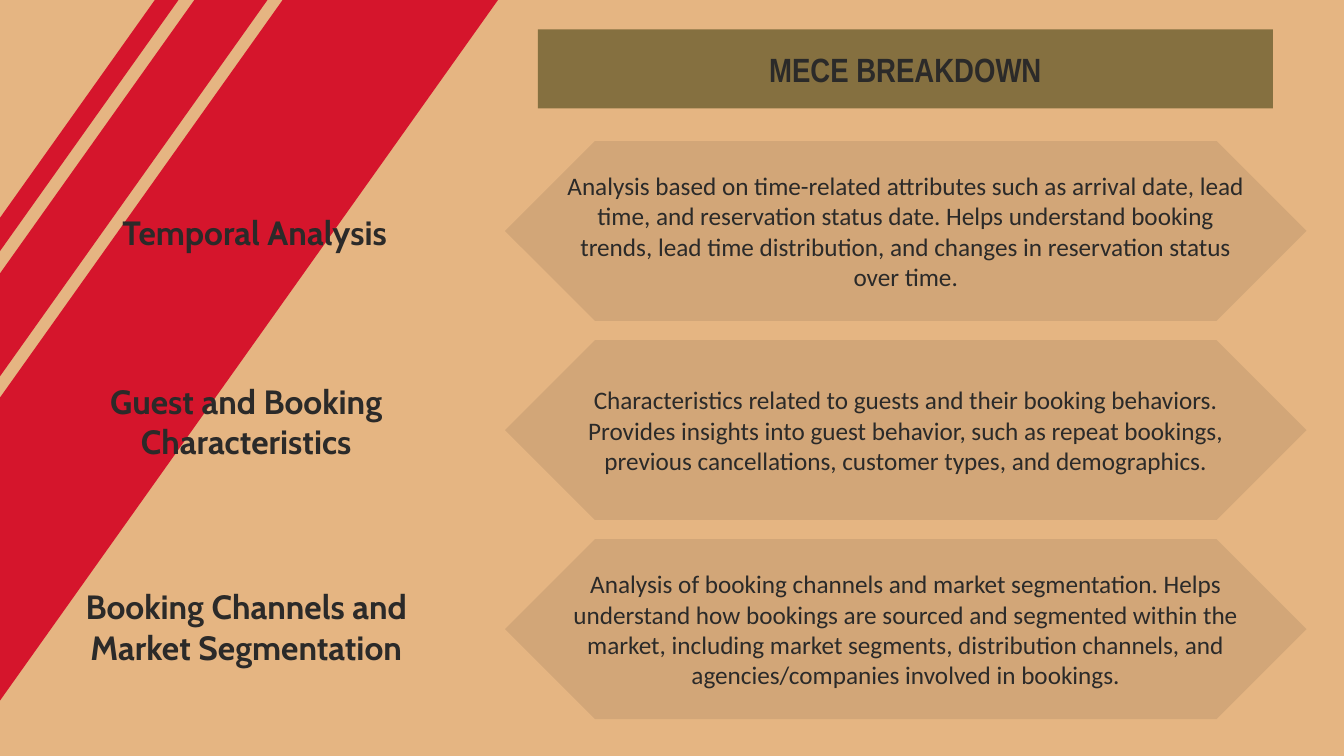
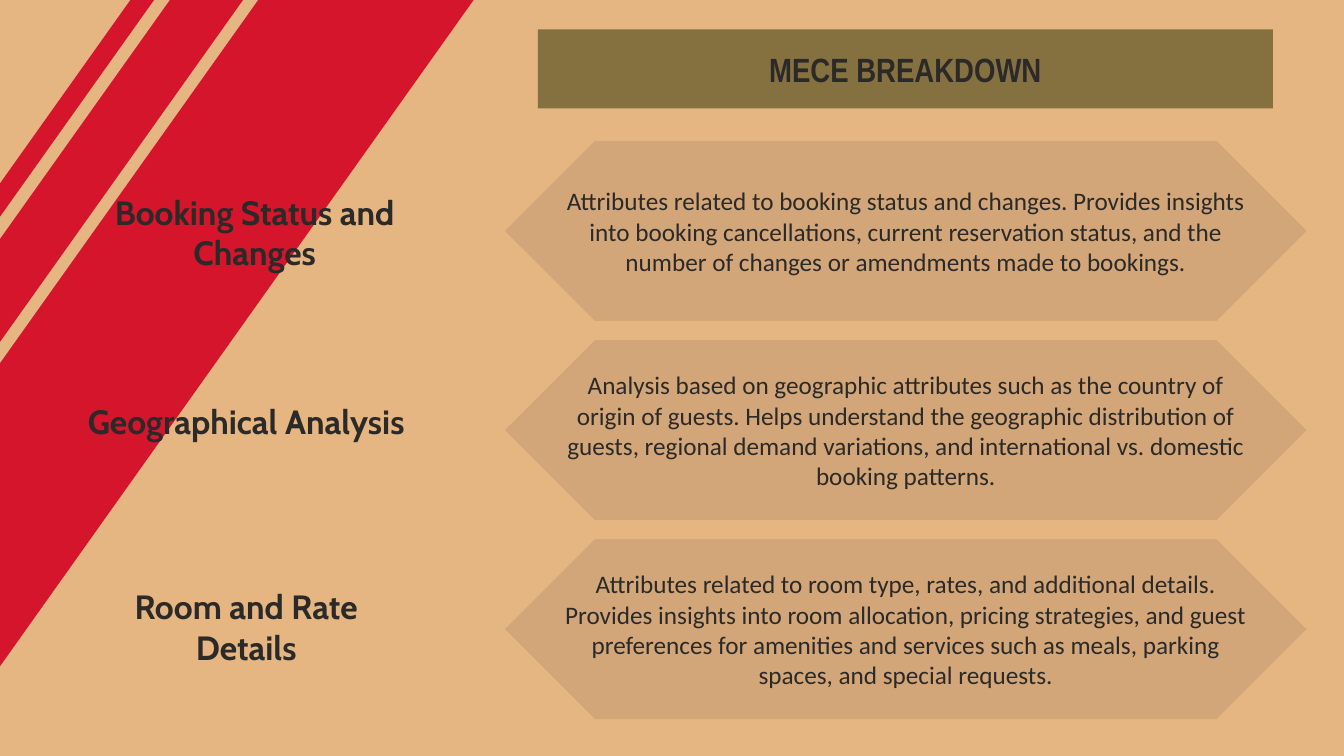
from dataclasses import dataclass

from lxml import etree
from pptx import Presentation
from pptx import util as u
from pptx.dml import color
from pptx.enum import shapes, text as t
from pptx.oxml import ns


@dataclass(frozen=True)
class Theme:
    background: str = "E5B582"
    stripe: str = "D5152C"
    title_band: str = "857040"
    ink: str = "2B2A29"
    heading_size: int = 24
    body_size: int = 18
    title_font: str = "Arial Narrow"
    label_font: str = "Cabin"
    body_font: str = "Calibri"
    arrow_opacity: int = 10  # per cent


@dataclass(frozen=True)
class Box:
    """A box on a grid of 160 columns by 90 rows."""
    left: float
    top: float
    width: float
    height: float

    def inner(self, left, top, width, height):
        return Box(self.left + left, self.top + top, width, height)

    def lengths(self):
        return [round(value * CELL) for value in
                (self.left, self.top, self.width, self.height)]


THEME = Theme()
SLIDE_WIDTH, SLIDE_HEIGHT = u.Inches(13.33), u.Inches(7.5)
CELL = SLIDE_HEIGHT / 90

TITLE_BOX = Box(64, 3.5, 87.5, 9.4)
FIRST_ROW = Box(0, 16.8, 160, 21.4)
ROW_PITCH = 23.7
STRIPE_BOX = Box(13.7, -41.5, 20.9, 145.8)
STRIPE_ANGLE = 35.4
# Left offset, top offset and width of each stripe
STRIPES = [(0, 0, 20.9), (-5.5, -9.25, 7.1), (-8.3, -12.7, 2.3)]
# Left, top and width of each label within its row
LABELS = [(10.9, 4.6, 38.8), (8.9, 3.4, 40.8), (8.9, 4.2, 40.8)]
LABEL_HEIGHT = 12.4

TITLE = "MECE BREAKDOWN"
# Stripe shift and the label and description of each row
SLIDES = [
    (0, [
        ("Temporal Analysis",
         "Analysis based on time-related attributes such as arrival date, "
         "lead time, and reservation status date. Helps understand booking "
         "trends, lead time distribution, and changes in reservation status "
         "over time."),
        ("Guest and Booking Characteristics",
         "Characteristics related to guests and their booking behaviors. "
         "Provides insights into guest behavior, such as repeat bookings, "
         "previous cancellations, customer types, and demographics."),
        ("Booking Channels and Market Segmentation",
         "Analysis of booking channels and market segmentation. Helps "
         "understand how bookings are sourced and segmented within the "
         "market, including market segments, distribution channels, and "
         "agencies/companies involved in bookings."),
    ]),
    (-1.7, [
        ("Booking Status and Changes",
         "Attributes related to booking status and changes. Provides "
         "insights into booking cancellations, current reservation status, "
         "and the number of changes or amendments made to bookings."),
        ("Geographical Analysis",
         "Analysis based on geographic attributes such as the country of "
         "origin of guests. Helps understand the geographic distribution of "
         "guests, regional demand variations, and international vs. domestic "
         "booking patterns."),
        ("Room and Rate Details",
         "Attributes related to room type, rates, and additional details. "
         "Provides insights into room allocation, pricing strategies, and "
         "guest preferences for amenities and services such as meals, "
         "parking spaces, and special requests."),
    ]),
]


def rgb(value):
    return color.RGBColor.from_string(value)


def set_fill(filled, value):
    filled.fill.solid()
    filled.fill.fore_color.rgb = rgb(value)


def write_text(shape, words, font, size, bold=False):
    frame = shape.text_frame
    frame.word_wrap = True
    frame.auto_size = t.MSO_AUTO_SIZE.NONE
    frame.vertical_anchor = t.MSO_ANCHOR.MIDDLE
    paragraph = frame.paragraphs[0]
    paragraph.alignment = t.PP_ALIGN.CENTER
    run = paragraph.add_run()
    run.text = words
    run.font.name, run.font.size, run.font.bold = font, u.Pt(size), bold
    run.font.color.rgb = rgb(THEME.ink)


def add_filled_shape(slide, kind, box, fill):
    shape = slide.shapes.add_shape(kind, *box.lengths())
    shape.shadow.inherit = False
    set_fill(shape, fill)
    shape.line.fill.background()
    return shape


def set_opacity(shape, per_cent):
    fill_color = shape._element.spPr.find(".//" + ns.qn("a:srgbClr"))
    alpha = etree.SubElement(fill_color, ns.qn("a:alpha"))
    alpha.set("val", str(per_cent * 1000))


def add_stripes(slide, box):
    for left, top, width in STRIPES:
        stripe = add_filled_shape(
            slide, shapes.MSO_SHAPE.RECTANGLE,
            box.inner(left, top, width, box.height), THEME.stripe)
        stripe.rotation = STRIPE_ANGLE


def place_title(slide, box):
    title = slide.shapes.title
    title.left, title.top, title.width, title.height = box.lengths()
    set_fill(title, THEME.title_band)
    write_text(title, TITLE, THEME.title_font, THEME.heading_size, bold=True)


def add_row(slide, box, label_place, label, description):
    # Label on the left
    label_box = box.inner(*label_place, LABEL_HEIGHT)
    label_shape = slide.shapes.add_textbox(*label_box.lengths())
    write_text(label_shape, label, THEME.label_font, THEME.heading_size,
               bold=True)

    # Description in a double-pointed shape
    arrow = add_filled_shape(
        slide, shapes.MSO_SHAPE.SNIP_2_DIAG_RECTANGLE,
        box.inner(60.1, 0, 95.4, box.height), THEME.ink)
    arrow.adjustments[0] = arrow.adjustments[1] = 0.5
    set_opacity(arrow, THEME.arrow_opacity)
    write_text(arrow, description, THEME.body_font, THEME.body_size)


def add_breakdown_slide(presentation, stripe_shift, rows):
    slide = presentation.slides.add_slide(presentation.slide_layouts[5])
    add_stripes(slide, STRIPE_BOX.inner(stripe_shift, stripe_shift,
                                        STRIPE_BOX.width, STRIPE_BOX.height))
    place_title(slide, TITLE_BOX)
    for index, (place, (label, description)) in enumerate(zip(LABELS, rows)):
        row_box = FIRST_ROW.inner(0, index * ROW_PITCH,
                                  FIRST_ROW.width, FIRST_ROW.height)
        add_row(slide, row_box, place, label, description)


def main():
    presentation = Presentation()
    presentation.slide_width = SLIDE_WIDTH
    presentation.slide_height = SLIDE_HEIGHT
    # Shared background
    set_fill(presentation.slide_master.background, THEME.background)
    for stripe_shift, rows in SLIDES:
        add_breakdown_slide(presentation, stripe_shift, rows)
    presentation.save("out.pptx")


if __name__ == "__main__":
    main()
